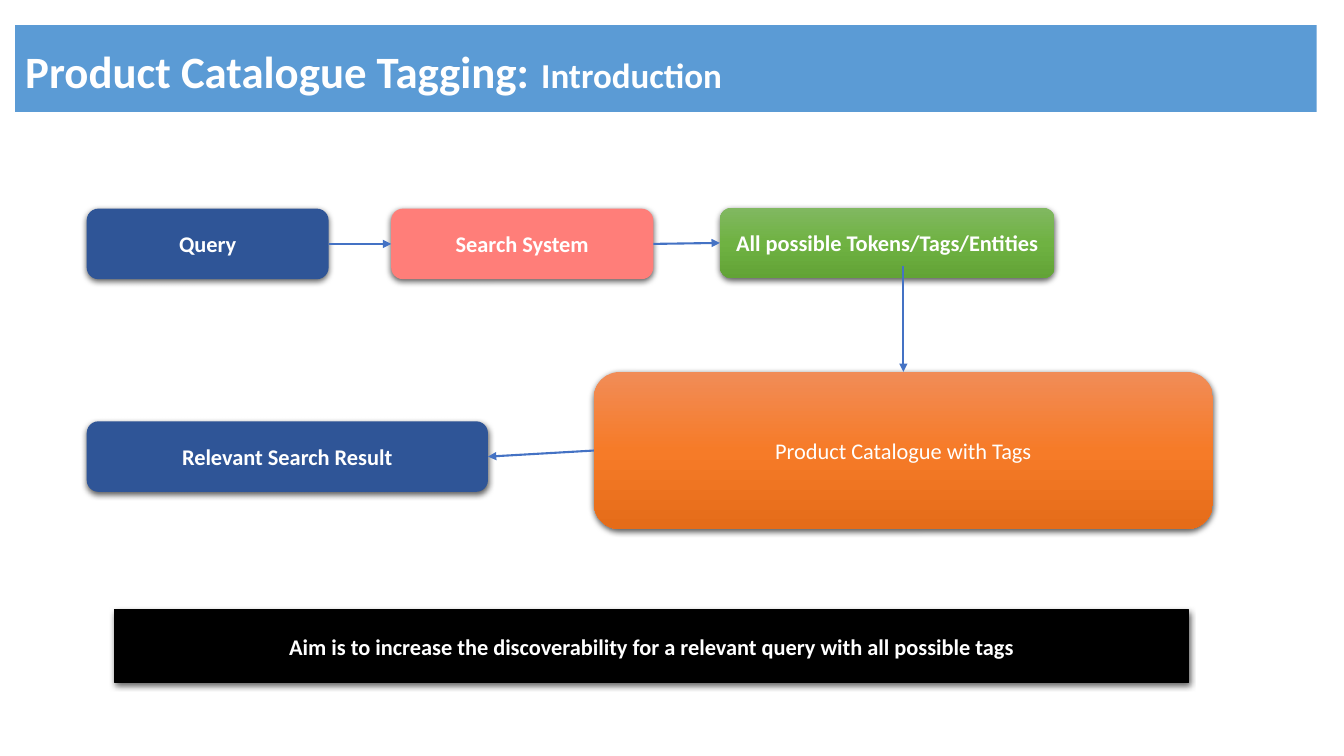
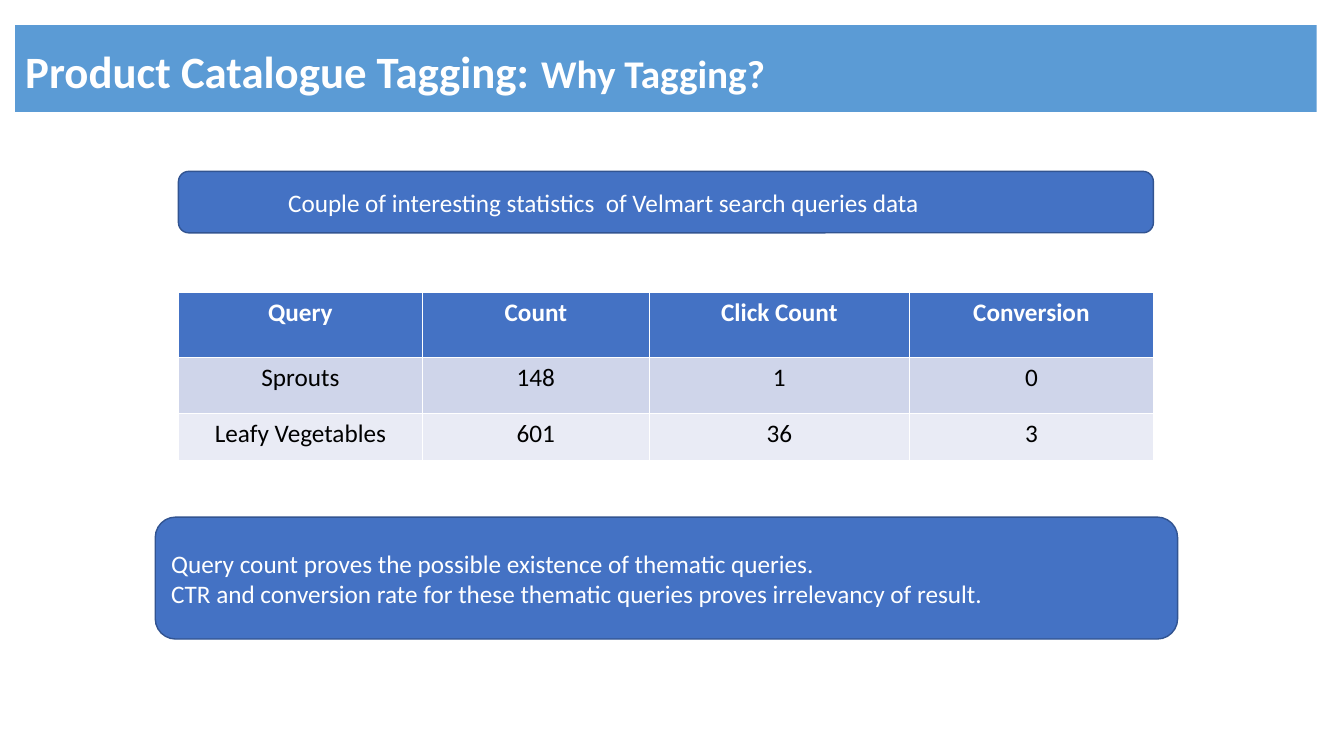
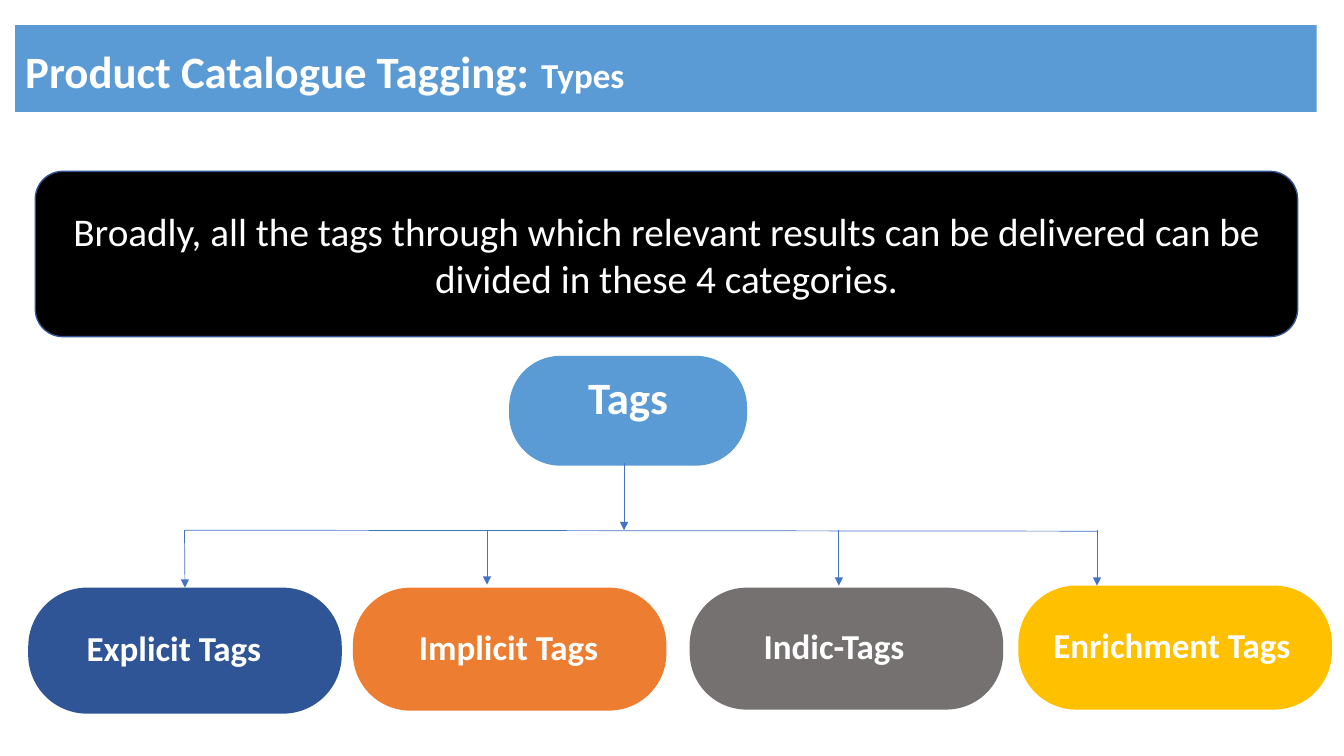
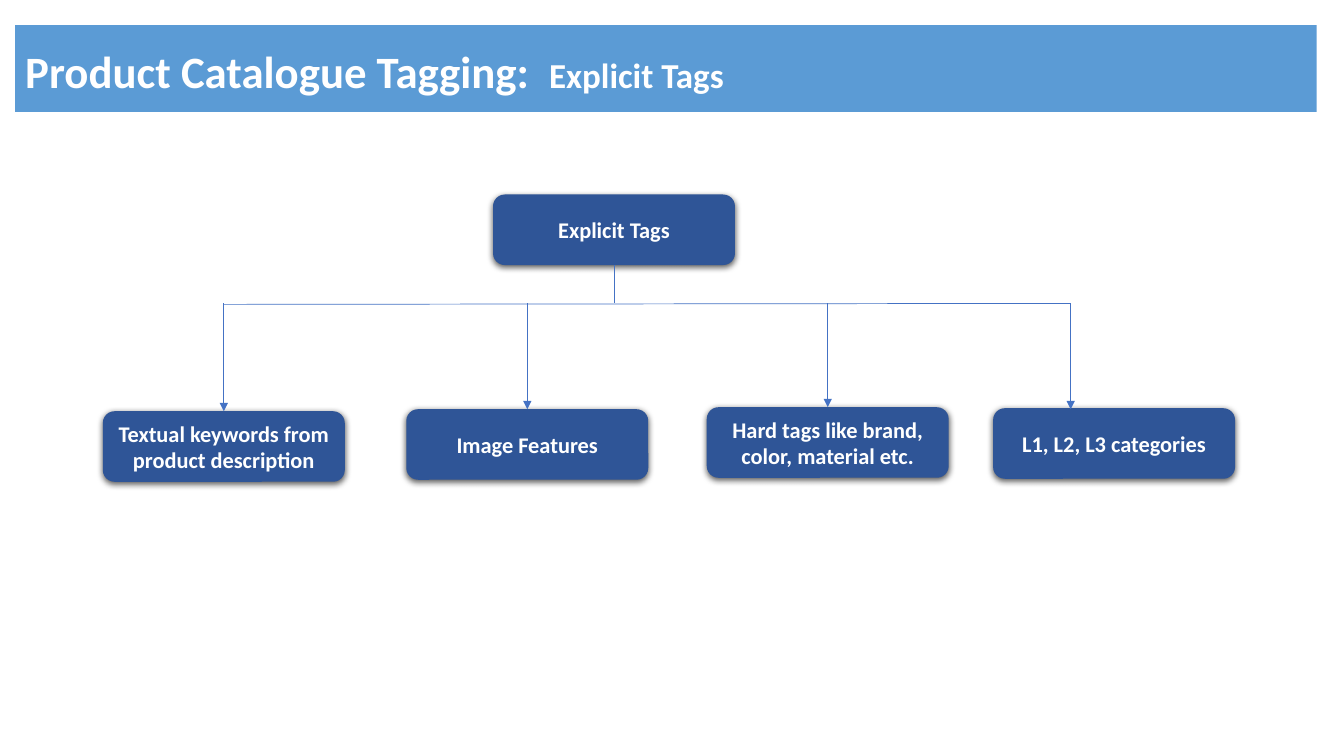
"""Build the four-slide deck on product catalogue tagging."""

from copy import deepcopy
from dataclasses import dataclass
from typing import Any, Sequence

from lxml.etree import SubElement
from pptx import Presentation
from pptx.dml.color import RGBColor
from pptx.enum.shapes import MSO_CONNECTOR as Conn, MSO_SHAPE as Form
from pptx.enum.text import MSO_ANCHOR as Anchor, MSO_AUTO_SIZE as Auto, PP_ALIGN as Align
from pptx.oxml.ns import qn
from pptx.util import Emu, Pt

SCALE = 9144
FONT = "Calibri"
WHITE, BLACK = "FFFFFF", "000000"
SKY, BLUE, NAVY, EDGE = "5B9BD5", "4472C4", "2F5597", "325491"
CORAL, ORANGE, GREY, GOLD = "FF7E79", "ED7D31", "767171", "FFC000"
GREEN_FADE = ("81B861", "6FB242", "62A336")
ORANGE_FADE = ("F18C57", "F67B28", "E56C19")
PILL = 0.467
TOP, LEFT, BOTTOM, RIGHT = range(4)

Spot = tuple[Any, int]


@dataclass(frozen=True)
class Box:
    x: int
    y: int
    w: int
    h: int
    text: str
    fill: str | tuple[str, ...] = NAVY
    size: int = 16
    bold: bool = True
    line: str | None = None
    width: float = 1
    shade: bool = True
    bend: float | None = None
    align: Align = Align.CENTER
    indent: int = 0
    pitch: float = 1


def px(count: int) -> Emu:
    return Emu(count * SCALE)


def hue(code: str) -> RGBColor:
    return RGBColor.from_string(code)


def write(frame: Any, text: str, *, size: int = 16, color: str = WHITE,
          bold: bool = False, align: Align = Align.CENTER, indent: int = 0,
          pitch: float = 1, more: Sequence[tuple[str, int]] = ()) -> None:
    frame.word_wrap = True
    lines = text.split("\n")
    for pos, line in enumerate(lines):
        para = frame.add_paragraph() if pos else frame.paragraphs[0]
        para.alignment = align
        para.line_spacing = pitch
        para.space_before = Pt(0)
        props = para._p.get_or_add_pPr()
        props.set("marL", str(px(indent)))
        props.set("indent", "0")
        SubElement(props, qn("a:buNone"))
        tail = more if pos == len(lines) - 1 else ()
        for part, points in ((line, size), *tail):
            run = para.add_run()
            run.text = part
            font = run.font
            font.name, font.size, font.bold = FONT, Pt(points), bold
            font.color.rgb = hue(color)


def paint(shape: Any, fill: str | tuple[str, ...]) -> None:
    if isinstance(fill, str):
        shape.fill.solid()
        shape.fill.fore_color.rgb = hue(fill)
        return
    shape.fill.gradient()
    shape.fill.gradient_angle = 270
    stops = shape._element.spPr.find(qn("a:gradFill")).find(qn("a:gsLst"))
    stops.append(deepcopy(stops[-1]))
    for pos, (stop, code) in enumerate(zip(shape.fill.gradient_stops, fill)):
        stop.position = pos / 2
        stop.color.rgb = hue(code)


def cast(shape: Any) -> None:
    glow = SubElement(shape._element.spPr.find(qn("a:effectLst")), qn("a:outerShdw"),
                      blurRad="57150", dist="19050", dir="5400000",
                      algn="ctr", rotWithShape="0")
    tint = SubElement(glow, qn("a:srgbClr"), val=BLACK)
    SubElement(tint, qn("a:alpha"), val="63000")


def draw(slide: Any, box: Box) -> Any:
    shape = slide.shapes.add_shape(Form.ROUNDED_RECTANGLE, px(box.x), px(box.y),
                                   px(box.w), px(box.h))
    shape.shadow.inherit = False
    paint(shape, box.fill)
    if box.line:
        shape.line.color.rgb = hue(box.line)
        shape.line.width = Pt(box.width)
    else:
        shape.line.fill.background()
    if box.shade:
        cast(shape)
    if box.bend is not None:
        shape.adjustments[0] = box.bend
    shape.text_frame.vertical_anchor = Anchor.MIDDLE
    write(shape.text_frame, box.text, size=box.size, bold=box.bold,
          align=box.align, indent=box.indent, pitch=box.pitch)
    return shape


def mould(holder: Any, x: int, y: int, w: int, h: int, anchor: Anchor) -> Any:
    holder.left, holder.top, holder.width, holder.height = map(px, (x, y, w, h))
    geom = SubElement(holder._element.spPr, qn("a:prstGeom"), prst="roundRect")
    SubElement(geom, qn("a:avLst"))
    holder.adjustments[0] = PILL
    paint(holder, SKY)
    frame = holder.text_frame
    frame.auto_size = Auto.NONE
    frame.vertical_anchor = anchor
    return frame


def start(deck: Any, topic: str, layout: int = 5) -> Any:
    slide = deck.slides.add_slide(deck.slide_layouts[layout])
    frame = mould(slide.shapes.title, 15, 25, 1291, 86, Anchor.MIDDLE)
    size = 28 if topic.endswith("?") else 25
    write(frame, "Product Catalogue Tagging:", size=32, bold=True,
          align=Align.LEFT, more=((" ", 36), (topic, size)))
    return slide


def link(slide: Any, head: Spot, tail: Spot, *, width: float = 0.5,
         arrow: bool = True) -> None:
    ends = [spot if isinstance(spot[0], int) else (0, 0) for spot in (head, tail)]
    wire = slide.shapes.add_connector(Conn.STRAIGHT, *(px(n) for end in ends for n in end))
    for spot, join in ((head, wire.begin_connect), (tail, wire.end_connect)):
        if not isinstance(spot[0], int):
            join(*spot)
    wire.line.color.rgb = hue(BLUE)
    wire.line.width = Pt(width)
    if arrow:
        SubElement(wire.line._get_or_add_ln(), qn("a:tailEnd"), type="triangle")
    SubElement(wire._element.spPr, qn("a:effectLst"))


def intro(deck: Any) -> None:
    slide = start(deck, "Introduction")
    query, search, tokens, goods, result, _ = [draw(slide, box) for box in (
        Box(86, 207, 240, 70, "Query"),
        Box(388, 207, 260, 70, "Search System", CORAL),
        Box(714, 206, 332, 70, "All possible Tokens/Tags/Entities", GREEN_FADE),
        Box(589, 369, 614, 156, "Product Catalogue with Tags", ORANGE_FADE, bold=False),
        Box(86, 418, 398, 70, "Relevant Search Result"),
        Box(114, 605, 1065, 72, "Aim is to increase the discoverability for a relevant "
            "query with all possible tags", BLACK, line=BLACK, width=0.75, bend=0),
    )]
    for head, tail in (((query, RIGHT), (search, LEFT)),
                       ((search, RIGHT), (tokens, LEFT)),
                       ((896, 264), (goods, TOP)),
                       ((goods, LEFT), (result, RIGHT))):
        link(slide, head, tail, width=1.5)


def grid(slide: Any) -> None:
    rows = (("Query", "Count", "Click Count", "Conversion"),
            ("Sprouts", "148", "1", "0"),
            ("Leafy Vegetables", "601", "36", "3"))
    fills = (BLUE, "CFD5EA", "E9EBF5")
    table = slide.shapes.add_table(3, 4, px(177), px(290), px(967), px(167)).table
    for col, width in zip(table.columns, (242, 225, 258, 242)):
        col.width = px(width)
    for row, height in zip(table.rows, (65, 55, 47)):
        row.height = px(height)
    for r, (texts, fill) in enumerate(zip(rows, fills)):
        for c, text in enumerate(texts):
            cell = table.cell(r, c)
            cell.fill.solid()
            cell.fill.fore_color.rgb = hue(fill)
            write(cell.text_frame, text, size=18, bold=r == 0,
                  color=BLACK if r else WHITE)


def reason(deck: Any) -> None:
    slide = start(deck, "Why Tagging?")
    look = dict(fill=BLUE, size=18, bold=False, line=EDGE, shade=False, align=Align.LEFT)
    draw(slide, Box(177, 170, 967, 61, "Couple of interesting statistics  of Velmart "
                    "search queries data", indent=96, **look))
    grid(slide)
    draw(slide, Box(154, 513, 1014, 121,
                    "Query count proves the possible existence of thematic queries.\n"
                    "CTR and conversion rate for these thematic queries proves "
                    "irrelevancy of result.", **look))


def types(deck: Any) -> None:
    slide = start(deck, "Types", layout=1)
    frame = mould(slide.placeholders[1], 505, 353, 236, 109, Anchor.TOP)
    write(frame, "Tags", size=32, bold=True, pitch=0.9)
    draw(slide, Box(35, 170, 1252, 164, "Broadly, all the tags through which relevant "
                    "results can be delivered can be divided in these 4 categories.",
                    BLACK, size=28, bold=False, line=EDGE, shade=False))
    kinds = [draw(slide, Box(x, y, 311, h, text, fill, size=25, shade=False, bend=PILL,
                             align=Align.LEFT, indent=indent, pitch=0.9))
             for x, y, h, text, fill, indent in (
                 (28, 583, 125, "Explicit Tags", NAVY, 31),
                 (350, 583, 122, "Implicit Tags", ORANGE, 39),
                 (684, 583, 121, "Indic-Tags", GREY, 47),
                 (1010, 581, 123, "Enrichment Tags", GOLD, 8))]
    link(slide, (619, 459), (619, 526))
    link(slide, (183, 526), (1088, 527), arrow=False)
    for x, tail in ((183, (kinds[0], TOP)), (483, (483, 580)),
                    (832, (832, 581)), (1088, (1088, 581))):
        link(slide, (x, 526), tail)


def detail(deck: Any) -> None:
    slide = start(deck, " Explicit Tags")
    root, words, image, hard, _ = [draw(slide, Box(x, y, 240, 70, text)) for x, y, text in (
        (489, 193, "Explicit Tags"),
        (102, 408, "Textual keywords from product description"),
        (403, 406, "Image Features"),
        (701, 404, "Hard tags like brand, color, material etc."),
        (985, 405, "L1, L2, L3 categories"))]
    link(slide, (root, BOTTOM), (609, 301), arrow=False)
    link(slide, (222, 302), (1062, 301), arrow=False)
    for x, tail in ((222, (words, TOP)), (523, (image, TOP)),
                    (821, (hard, TOP)), (1062, (1062, 406))):
        link(slide, (x, 301), tail)


def main() -> None:
    deck = Presentation()
    deck.slide_width, deck.slide_height = px(1333), px(750)
    for build in (intro, reason, types, detail):
        build(deck)
    deck.save("out.pptx")


if __name__ == "__main__":
    main()
